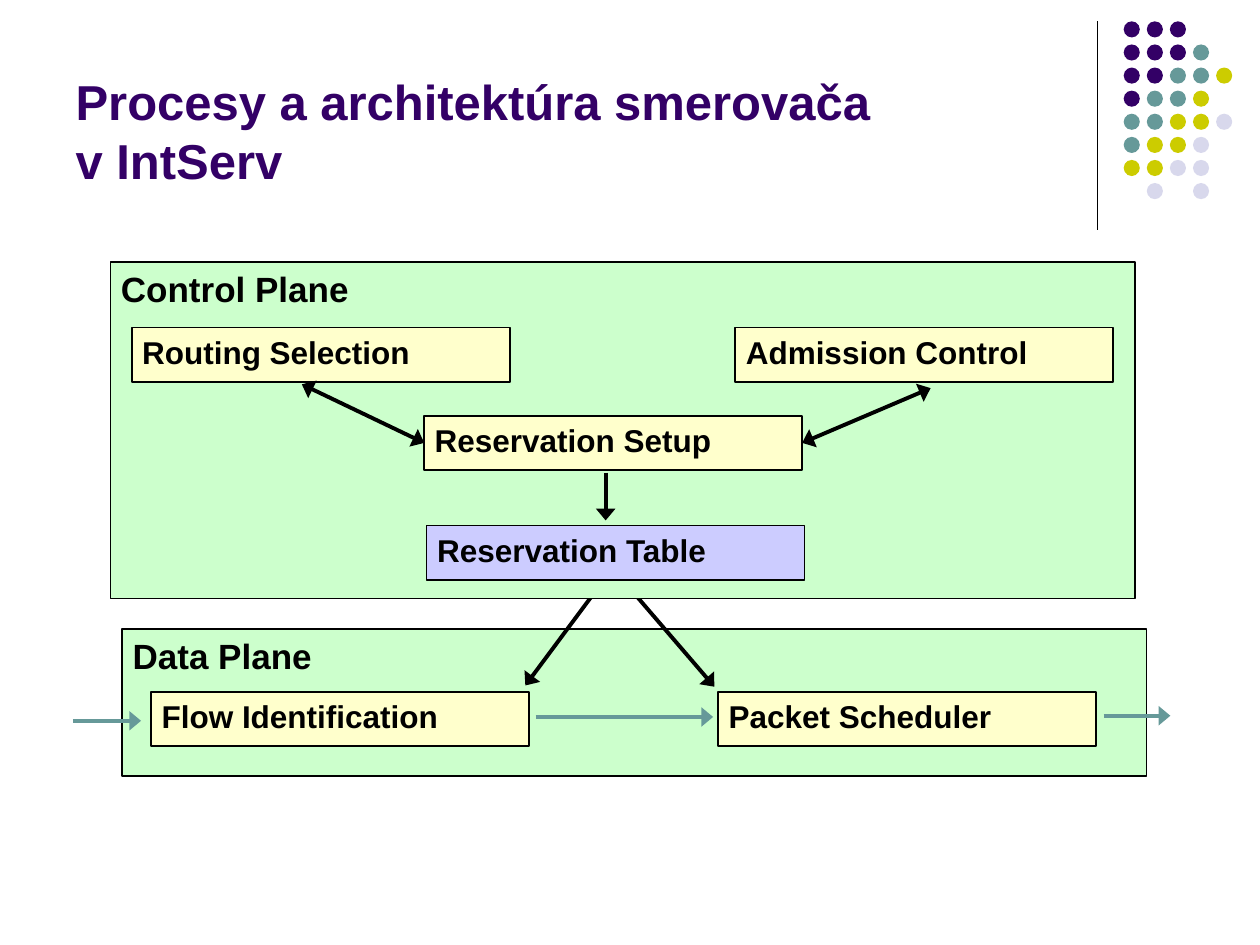
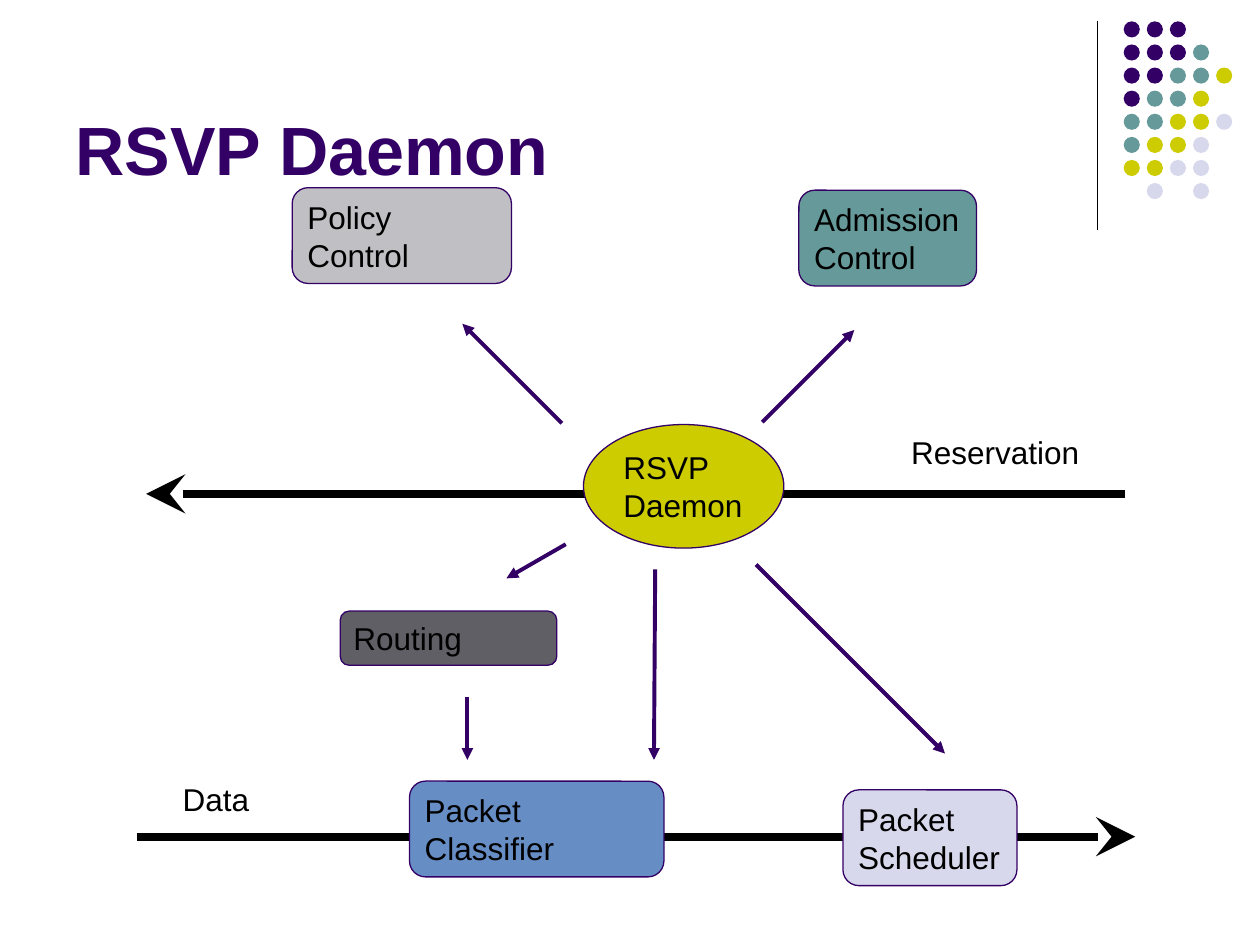
from lxml.etree import SubElement
from pptx import Presentation
from pptx.dml.color import RGBColor
from pptx.enum.shapes import MSO_CONNECTOR, MSO_SHAPE
from pptx.enum.text import MSO_ANCHOR, MSO_AUTO_SIZE, PP_ALIGN
from pptx.oxml.ns import qn
from pptx.util import Pt

COLORS = {
    "black": "000000", "violet": "330066", "teal": "669999",
    "olive": "CCCC00", "pale": "D8D8EC", "plane": "CCFFCC",
    "process": "FFFFCC", "table": "CCCCFF", "silver": "C0C0C4",
    "slate": "5F5F65", "blue": "678DC5",
}
FONT = "Arial"
DOTS = ["VVV", "VVVT", "VVTTO", "VTTO", "TTOOP", "TOOP", "OOPP", " P P"]
DOT_KEYS = {"V": "violet", "T": "teal", "O": "olive", "P": "pale"}


def rgb(name):
    return RGBColor.from_string(COLORS[name])


def add_run(para, text, size, bold=False, color="black"):
    run = para.add_run()
    run.text = text
    font = run.font
    font.name, font.size, font.bold = FONT, Pt(size), bold
    font.color.rgb = rgb(color)


def write(frame, text, size=18, bold=False, wrap=True, anchor=MSO_ANCHOR.TOP):
    """Fill a frame with left-aligned text, one paragraph per line."""
    frame.word_wrap = wrap
    frame.vertical_anchor = anchor
    frame.margin_left = frame.margin_right = Pt(6)
    frame.margin_top = frame.margin_bottom = Pt(3)
    for num, line in enumerate(text.split("\n")):
        para = frame.add_paragraph() if num else frame.paragraphs[0]
        para.alignment = PP_ALIGN.LEFT
        add_run(para, line, size, bold)


def add_shape(slide, kind, box, fill, line=None, width=1):
    shape = slide.shapes.add_shape(kind, *map(Pt, box))
    shape.shadow.inherit = False
    shape.fill.solid()
    shape.fill.fore_color.rgb = rgb(fill)
    if line:
        shape.line.color.rgb = rgb(line)
        shape.line.width = Pt(width)
    else:
        shape.line.fill.background()
    return shape


def add_label(slide, box, text, **style):
    label = slide.shapes.add_textbox(*map(Pt, box))
    write(label.text_frame, text, **style)


def add_line(slide, start, end, color="black", width=2.25, heads=(),
             kind="triangle", wide="lg", long="med"):
    """Draw a line; heads lists the ends with an arrowhead, head before tail."""
    line = slide.shapes.add_connector(
        MSO_CONNECTOR.STRAIGHT, *map(Pt, (*start, *end)))
    line.line.color.rgb = rgb(color)
    line.line.width = Pt(width)
    props = line.element.spPr
    for head in heads:
        SubElement(props.find(qn("a:ln")), qn(f"a:{head}End"),
                   type=kind, w=wide, len=long)
    SubElement(props, qn("a:effectLst"))
    return line


def add_trim(slide, layout, left, top):
    """Draw the corner rule and dots, then move them to the shared layout."""
    parts = [add_line(slide, (left, top), (left, top + 119.5), width=0.75)]
    pitch, size = 13.2, 9.2
    for row, marks in enumerate(DOTS):
        for col, mark in enumerate(marks):
            if mark in DOT_KEYS:
                box = (left + 15 + col * pitch, top + row * pitch, size, size)
                parts.append(add_shape(slide, MSO_SHAPE.OVAL, box, DOT_KEYS[mark]))
    for num, part in enumerate(parts, 100):
        part.element.xpath(".//p:cNvPr")[0].set("id", str(num))
        layout.shapes.element.append(part.element)


def set_title(slide, lines, size):
    title = slide.shapes.title
    title.left, title.top, title.width, title.height = map(Pt, (36, 9.4, 594, 102.2))
    frame = title.text_frame
    frame.auto_size = MSO_AUTO_SIZE.NONE
    frame.word_wrap = True
    frame.vertical_anchor = MSO_ANCHOR.BOTTOM
    para = frame.paragraphs[0]
    para.alignment = PP_ALIGN.LEFT
    for num, line in enumerate(lines):
        if num:
            para.add_line_break()
        add_run(para, line, size, True, "violet")


def shift(box, *spots):
    """Turn points relative to a box into points on the slide."""
    return [(box[0] + x, box[1] + y) for x, y in spots]


def add_plane(slide, box):
    add_shape(slide, MSO_SHAPE.RECTANGLE, box, "plane", "black")


def name_plane(slide, box, text):
    add_label(slide, (*box[:2], 160, 29.5), text, size=20, bold=True)


def add_process(slide, box, spot, text, fill="process"):
    [place] = shift(box, spot)
    shape = add_shape(slide, MSO_SHAPE.RECTANGLE, (*place, 216, 31), fill, "black")
    write(shape.text_frame, text, bold=True)
    return shape


def data_plane(slide, box):
    add_plane(slide, box)
    add_process(slide, box, (16.6, 36), "Flow Identification")
    add_process(slide, box, (340.6, 36), "Packet Scheduler")
    for start, end, color in [
        ((-28.1, 52.6), (10.8, 52.6), "teal"),
        ((236.2, 50.4), (337.7, 50.4), "teal"),
        ((560.9, 49.7), (599, 49.7), "teal"),
        ((278.6, -32.4), (230.4, 32.4), "black"),
        ((281.5, -33.1), (338.4, 33.1), "black"),
    ]:
        add_line(slide, *shift(box, start, end), color, heads=["tail"])
    name_plane(slide, box, "Data Plane")


def control_plane(slide, box):
    add_plane(slide, box)
    add_process(slide, box, (12.2, 37.4), "Routing Selection")
    add_process(slide, box, (357.1, 37.4), "Admission Control")
    setup = add_process(slide, box, (179.3, 87.8), "Reservation Setup")
    for start, end, side in [((109.4, 69.8), (179.3, 103.3), 1),
                             ((468.7, 72), (395.3, 103.3), 3)]:
        line = add_line(slide, *shift(box, start, end), heads=["head", "tail"])
        line.end_connect(setup, side)
    add_line(slide, *shift(box, (283, 120.2), (283, 147.6)), heads=["tail"])
    name_plane(slide, box, "Control Plane")
    add_process(slide, box, (180.7, 150.5), "Reservation Table", "table")


def daemon_map(slide, box):
    for start, end in [((571, 174.2), (11.5, 174.2)),
                       ((6.5, 370.1), (576.7, 370.1))]:
        add_line(slide, *shift(box, start, end), width=4.5, heads=["tail"],
                 kind="stealth", long="lg")
    block, oval = MSO_SHAPE.ROUNDED_RECTANGLE, MSO_SHAPE.OVAL
    for text, kind, spot, size, fill, wrap in [
        ("Policy\nControl", block, (95, -0.7), (125.3, 54.7), "silver", True),
        ("Admission\nControl", block, (384.5, 0.7), (101.5, 54.7), "teal", False),
        ("Packet\nClassifier", block, (162, 338.4), (145.4, 54.7), "blue", True),
        ("Packet\nScheduler", block, (409.7, 343.4), (99.4, 54.7), "pale", False),
        ("Routing", block, (122.4, 241.2), (123.8, 31), "slate", True),
        ("RSVP\nDaemon", oval, (261.4, 134.6), (114.5, 70.6), "olive", False),
    ]:
        [place] = shift(box, spot)
        node = add_shape(slide, kind, (*place, *size), fill, "violet", 0.75)
        write(node.text_frame, text, wrap=wrap, anchor=MSO_ANCHOR.MIDDLE)
    for start, end in [
        ((195.1, 290.2), (195.1, 326.2)),
        ((302.4, 217.4), (301.7, 326.2)),
        ((360, 214.6), (468, 322.6)),
        ((251.3, 203), (217.4, 222.5)),
        ((363.6, 133.2), (416.2, 80.6)),
        ((249.1, 133.9), (192.2, 77)),
    ]:
        add_line(slide, *shift(box, start, end), "violet", heads=["tail"], wide="med")
    for text, spot, width in [("Reservation", (442.6, 136.5), 115),
                              ("Data", (26.4, 334.8), 56)]:
        [place] = shift(box, spot)
        add_label(slide, (*place, width, 28.1), text)


def main():
    deck = Presentation()
    deck.slide_width, deck.slide_height = Pt(720), Pt(540)
    style = deck.slide_master.element.xpath(".//p:titleStyle/a:lvl1pPr/a:defRPr")[0]
    style.set("sz", "2800")
    layout = deck.slide_layouts[5]

    router = deck.slides.add_slide(layout)
    add_trim(router, layout, 627.1, 12.2)
    set_title(router, ["Procesy a architektúra smerovača", "v IntServ"], 28)
    data_plane(router, (69.8, 359.3, 585.4, 84.2))
    control_plane(router, (63.1, 149.8, 585.4, 192.2))

    daemon = deck.slides.add_slide(layout)
    set_title(daemon, ["RSVP Daemon"], 39)
    daemon_map(daemon, (72, 108, 576, 400))
    deck.save("out.pptx")


if __name__ == "__main__":
    main()
